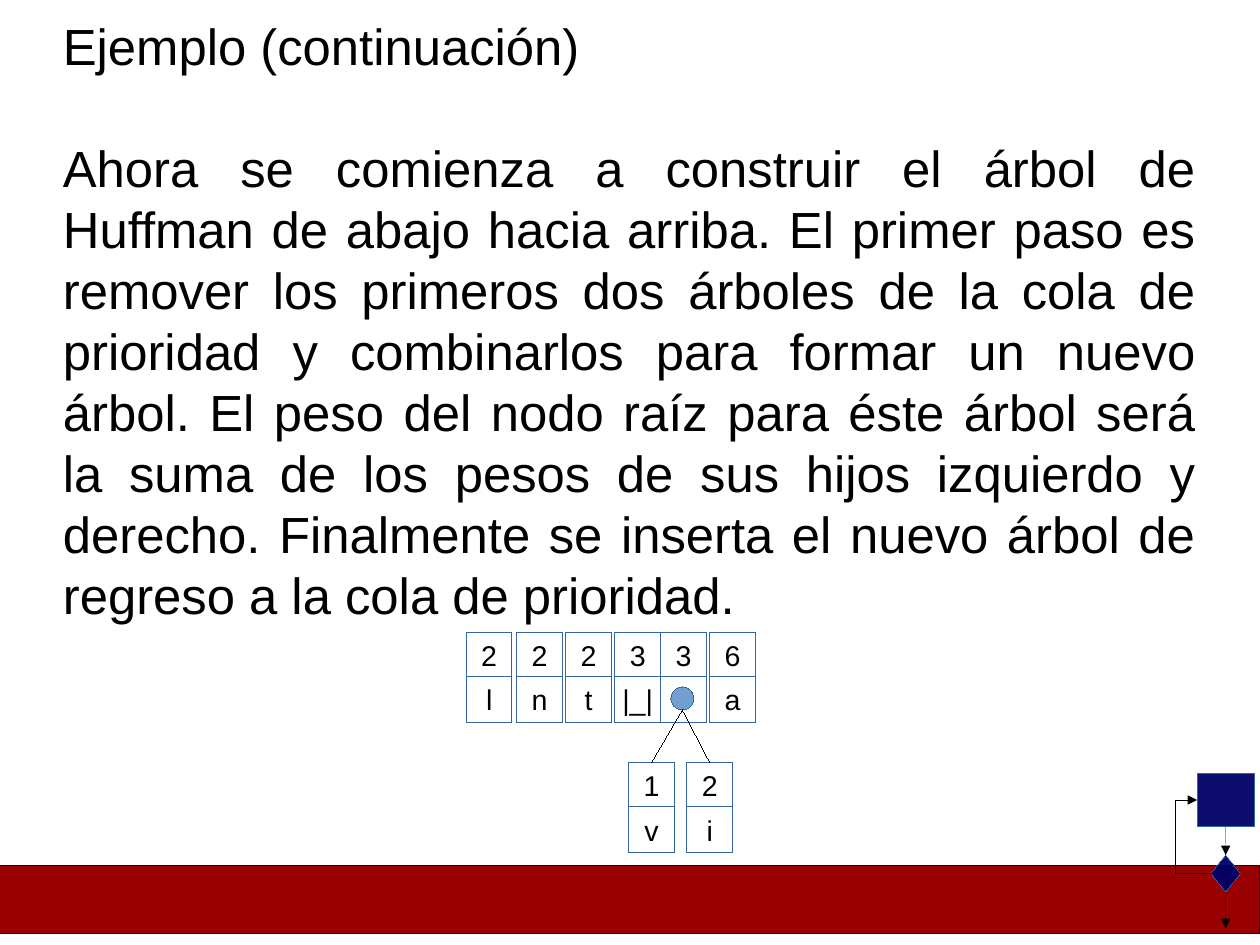
from lxml import etree
from pptx import Presentation
from pptx.dml.color import RGBColor
from pptx.enum import shapes, text
from pptx.oxml import ns
from pptx.util import Inches, Pt

RED = RGBColor(0x99, 0x00, 0x00)
NAVY = RGBColor(0x00, 0x00, 0x80)
DARK_BLUE = RGBColor(0x00, 0x00, 0x66)
BORDER_BLUE = RGBColor(0x34, 0x65, 0xA4)
LIGHT_BLUE = RGBColor(0x72, 0x9F, 0xCF)
WHITE = RGBColor(0xFF, 0xFF, 0xFF)
BLACK = RGBColor(0x00, 0x00, 0x00)

SLIDE_W, SLIDE_H = 28 / 2.54, 21 / 2.54
FONT = "Arial"
CELL = 0.4
ROW_STEP = 0.39
SHAPE = shapes.MSO_SHAPE
LINE = shapes.MSO_CONNECTOR

TITLE = "Ejemplo (continuación)"
BODY = (
    "Ahora se comienza a construir el árbol de Huffman de abajo hacia arriba. "
    "El primer paso es remover los primeros dos árboles de la cola de prioridad "
    "y combinarlos para formar un nuevo árbol. El peso del nodo raíz para éste "
    "árbol será la suma de los pesos de sus hijos izquierdo y derecho. "
    "Finalmente se inserta el nuevo árbol de regreso a la cola de prioridad."
)
QUEUE = [(0, "2", "l"), (0.44, "2", "n"), (0.87, "2", "t"),
         (1.3, "3", "|_|"), (1.7, "3", ""), (2.13, "6", "a")]
CHILDREN = [(1.42, "1", "v"), (1.93, "2", "i")]


def set_hairline(sp, color):
    sp.line.color.rgb = color
    sp._element.spPr.find(ns.qn("a:ln")).set("w", "0")


def add_block(slide, kind, x, y, w, h, fill, border=BORDER_BLUE, alpha=None):
    sp = slide.shapes.add_shape(kind, Inches(x), Inches(y), Inches(w), Inches(h))
    sp.shadow.inherit = False
    sp.fill.solid()
    sp.fill.fore_color.rgb = fill
    set_hairline(sp, border)
    if alpha:
        color = sp._element.spPr.find(ns.qn("a:solidFill"))[0]
        etree.SubElement(color, ns.qn("a:alpha"), val=str(alpha * 1000))
    return sp


def add_line(slide, x1, y1, x2, y2, kind=LINE.STRAIGHT, arrow=False):
    cxn = slide.shapes.add_connector(kind, Inches(x1), Inches(y1), Inches(x2), Inches(y2))
    set_hairline(cxn, BLACK)
    spPr = cxn._element.spPr
    if arrow:
        etree.SubElement(spPr.find(ns.qn("a:ln")), ns.qn("a:tailEnd"), type="triangle")
    etree.SubElement(spPr, ns.qn("a:effectLst"))
    return cxn


def fill_placeholder(sp, content, x, y, w, h, align):
    sp.left, sp.top, sp.width, sp.height = (Inches(v) for v in (x, y, w, h))
    tf = sp.text_frame
    tf.text = content
    tf.word_wrap = True
    tf.auto_size = text.MSO_AUTO_SIZE.NONE
    tf.vertical_anchor = text.MSO_ANCHOR.TOP
    tf.margin_left = tf.margin_right = tf.margin_top = tf.margin_bottom = 0
    p = tf.paragraphs[0]
    pPr = p._p.get_or_add_pPr()
    pPr.set("marL", "0")
    pPr.set("indent", "0")
    etree.SubElement(pPr, ns.qn("a:buNone"))
    p.alignment = align
    p.line_spacing = Pt(38.4)
    p.space_before = Pt(0)
    font = p.runs[0].font
    font.name, font.size = FONT, Pt(32)
    font.color.rgb = BLACK


def add_explanation(slide, x, y, w):
    title, body = slide.placeholders
    fill_placeholder(title, TITLE, x, y, w, 0.6, text.PP_ALIGN.LEFT)
    fill_placeholder(body, BODY, x, y + 1.07, w, 4.3, text.PP_ALIGN.JUSTIFY)


def add_cell(slide, label, x, y):
    sp = add_block(slide, SHAPE.RECTANGLE, x, y, CELL, CELL, WHITE)
    if label:
        tf = sp.text_frame
        tf.text = label
        tf.word_wrap = False
        tf.vertical_anchor = text.MSO_ANCHOR.MIDDLE
        p = tf.paragraphs[0]
        p.alignment = text.PP_ALIGN.CENTER
        font = p.runs[0].font
        font.name, font.size = FONT, Pt(18)
        font.color.rgb = BLACK
    return sp


def add_node(slide, weight, symbol, x, y):
    top = add_cell(slide, weight, x, y)
    add_cell(slide, symbol, x, y + ROW_STEP)
    return top


def add_queue(slide, x, y):
    for dx, weight, symbol in QUEUE:
        add_node(slide, weight, symbol, x + dx, y)
    add_block(slide, SHAPE.OVAL, x + 1.79, y + 0.48, 0.2, 0.2, LIGHT_BLUE)
    for dx, weight, symbol in CHILDREN:
        child = add_node(slide, weight, symbol, x + dx, y + 1.14)
        edge = add_line(slide, x + dx + CELL / 2, y + 1.14, x + 1.89, y + 0.68)
        edge.begin_connect(child, 0)


def add_footer(slide, x, y, w, h):
    add_block(slide, SHAPE.RECTANGLE, x, y, w, h, RED, NAVY)
    mid = x + w - 0.3
    decision = add_block(slide, SHAPE.FLOWCHART_DECISION, mid - 0.13, y - 0.09,
                         0.26, 0.32, DARK_BLUE, alpha=95)
    process = add_block(slide, SHAPE.FLOWCHART_PROCESS, mid - 0.25, y - 0.8,
                        0.5, 0.46, DARK_BLUE, alpha=95)
    down = add_line(slide, mid, y - 0.34, mid, y - 0.09, arrow=True)
    down.begin_connect(process, 2)
    down.end_connect(decision, 0)
    loop = add_line(slide, mid - 0.13, y + 0.07, mid - 0.25, y - 0.57,
                    LINE.ELBOW, arrow=True)
    guides = loop._element.spPr.find(ns.qn("a:prstGeom")).get_or_add_avLst()
    etree.SubElement(guides, ns.qn("a:gd"), name="adj1", fmla="val 263700")
    leave = add_line(slide, mid, y + 0.23, mid, y + 0.55, arrow=True)
    leave.begin_connect(decision, 2)


def main():
    prs = Presentation()
    prs.slide_width, prs.slide_height = Inches(SLIDE_W), Inches(SLIDE_H)
    slide = prs.slides.add_slide(prs.slide_layouts[1])
    add_footer(slide, 0, 7.57, SLIDE_W, 0.6)
    add_explanation(slide, 0.55, 0.13, 9.92)
    add_queue(slide, 4.08, 5.53)
    prs.save("out.pptx")


if __name__ == "__main__":
    main()
